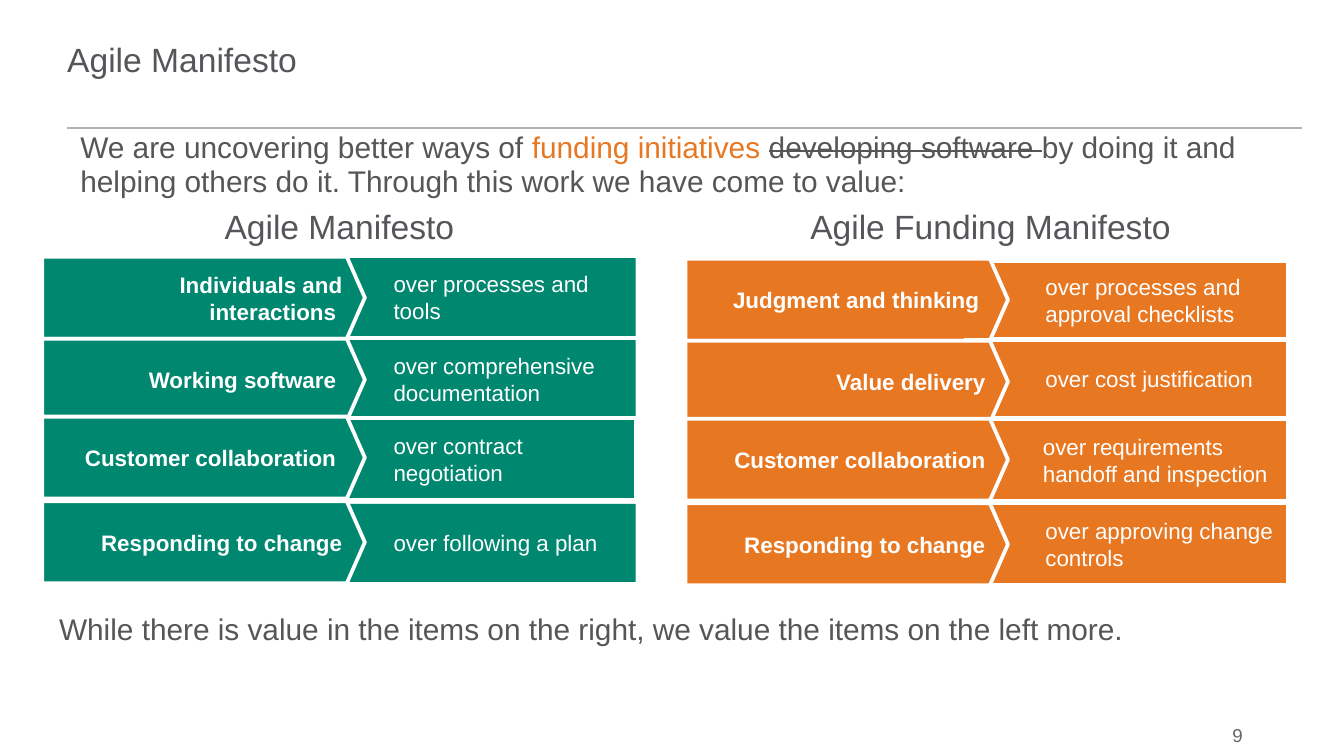
import pptx
import pptx.util
import pptx.dml.color
import pptx.enum.shapes
import pptx.enum.text
import pptx.oxml.ns

RGBColor = pptx.dml.color.RGBColor
MSO_SHAPE = pptx.enum.shapes.MSO_SHAPE
ANCHOR = pptx.enum.text.MSO_ANCHOR
ALIGN = pptx.enum.text.PP_ALIGN
Pt = pptx.util.Pt

TEAL = RGBColor(0x00, 0x87, 0x70)
ORANGE = RGBColor(0xE8, 0x77, 0x22)
WHITE = RGBColor(0xFF, 0xFF, 0xFF)
HEADING = RGBColor(0x55, 0x56, 0x5A)
BODY = RGBColor(0x56, 0x56, 0x56)
NUMBER = RGBColor(0x63, 0x66, 0x6A)
RULE = RGBColor(0xB1, 0xB3, 0xB3)

prs = pptx.Presentation()
prs.slide_width = pptx.util.Inches(10)
prs.slide_height = prs.slide_width * 9 // 16
CELL = prs.slide_width / 100
s = prs.slides.add_slide(prs.slide_layouts[5])


def grid(*cells):
    return [round(c * CELL) for c in cells]


def write(sp, runs, size, frame={}, para={}, bold=False):
    tf = sp.text_frame
    for name, value in {"word_wrap": True, **frame}.items():
        setattr(tf, name, value)
    p = tf.paragraphs[0]
    for name, value in para.items():
        setattr(p, name, value)
    for text, color, strike in runs:
        r = p.add_run()
        r.text = text
        for name, value in {"name": "Arial", "size": Pt(size), "bold": bold}.items():
            setattr(r.font, name, value)
        r.font.color.rgb = color
        if strike:
            r._r.get_or_add_rPr().set("strike", "sngStrike")
    return p


FLUSH = {"margin_left": 0, "margin_top": 0, "margin_right": 0, "margin_bottom": 0}
TIGHT = {"line_spacing": 0.95}

ln = s.shapes.add_connector(pptx.enum.shapes.MSO_CONNECTOR.STRAIGHT, *grid(5, 9.5, 96.9, 9.5))
ln.line.color.rgb = RULE
ln.line.width = Pt(1)
ln._element.spPr.append(pptx.oxml.parse_xml("<a:effectLst %s/>" % pptx.oxml.ns.nsdecls("a")))

title = s.shapes.title
title.left, title.top, title.width, title.height = grid(5, 0.75, 72.5, 7.3)
write(title, [("Agile Manifesto", HEADING, False)], 18,
      {**FLUSH, "vertical_anchor": ANCHOR.MIDDLE}, {"alignment": ALIGN.LEFT})

INTRO = [
    ("We are uncovering better ways of ", BODY, False),
    ("funding initiatives ", ORANGE, False),
    ("developing software ", BODY, True),
    ("by doing it and helping others do it. Through this work we have come to value:", BODY, False),
]
CLOSING = "While there is value in the items on the right, we value the items on the left more."
CENTER = {"alignment": ALIGN.CENTER}
for cells, runs, size, frame, para in [
    ((4.4, 45.65, 90.3, 6.8), [(CLOSING, BODY, False)], 16, FLUSH, TIGHT),
    ((91.7, 54, 3.3, 1.2), [("9", NUMBER, False)], 10, FLUSH, TIGHT),
    ((3.15, 14.8, 44.2, 4), [("Agile Manifesto", HEADING, False)], 18, {}, CENTER),
    ((51, 14.8, 45.4, 4), [("Agile Funding Manifesto", HEADING, False)], 18, {}, CENTER),
    ((5, 9.3, 90.3, 6.8), INTRO, 16, {}, TIGHT),
]:
    write(s.shapes.add_textbox(*grid(*cells)), runs, size, frame, para)

ROW_TOPS = [19.1, 25.2, 31, 37.3]
TALL, SHORT, WIDE = 6.1, 5.8, 24
COLUMNS = [
    (TEAL, 3.15, 23.3, 0, [
        ("Individuals and interactions ", "over processes and tools", 19.2, SHORT, False),
        ("Working software ", "over comprehensive documentation", 25.3, SHORT, False),
        ("Customer collaboration ", "over contract negotiation", 31.1, TALL, True),
        ("Responding to change", "over following a plan", 37.5, SHORT, False),
    ]),
    (ORANGE, 51, 71.8, 0.15, [
        ("Judgment and thinking ", "over processes and approval checklists", 19.4, SHORT, True),
        ("Value delivery", "over cost justification", 25.3, SHORT, True),
        ("Customer collaboration", "over requirements handoff and inspection", 31.2, TALL, True),
        ("Responding to change", "over approving change controls", 37.4, TALL, True),
    ]),
]
for color, plate_x, bar_x, shift, rows in COLUMNS:
    for row_top, (value, over, bar_top, bar_height, outlined) in zip(ROW_TOPS, rows):
        for kind, cells, text, edged in [
            (MSO_SHAPE.RECTANGLE, (bar_x, bar_top, WIDE, bar_height), over, outlined),
            (MSO_SHAPE.PENTAGON, (plate_x, row_top + shift, WIDE, TALL), value, True),
        ]:
            plate = kind == MSO_SHAPE.PENTAGON
            sp = s.shapes.add_shape(kind, *grid(*cells))
            sp.shadow.inherit = False
            sp.fill.solid()
            sp.fill.fore_color.rgb = color
            if edged:
                sp.line.color.rgb = WHITE
                sp.line.width = Pt(2)
            else:
                sp.line.fill.background()
            frame = {"vertical_anchor": ANCHOR.MIDDLE}
            if text.startswith("over requirements"):
                frame["margin_left"] = grid(0.8)[0]
            para = {"alignment": ALIGN.RIGHT if plate else ALIGN.LEFT, "level": 0 if plate else 1}
            p = write(sp, [(text, WHITE, False)], 12, frame, para, plate)
            if plate:
                sp.adjustments[0] = 0.22
            else:
                p._p.get_or_add_pPr().set("marL", str(grid(5)[0]))

prs.save("out.pptx")
